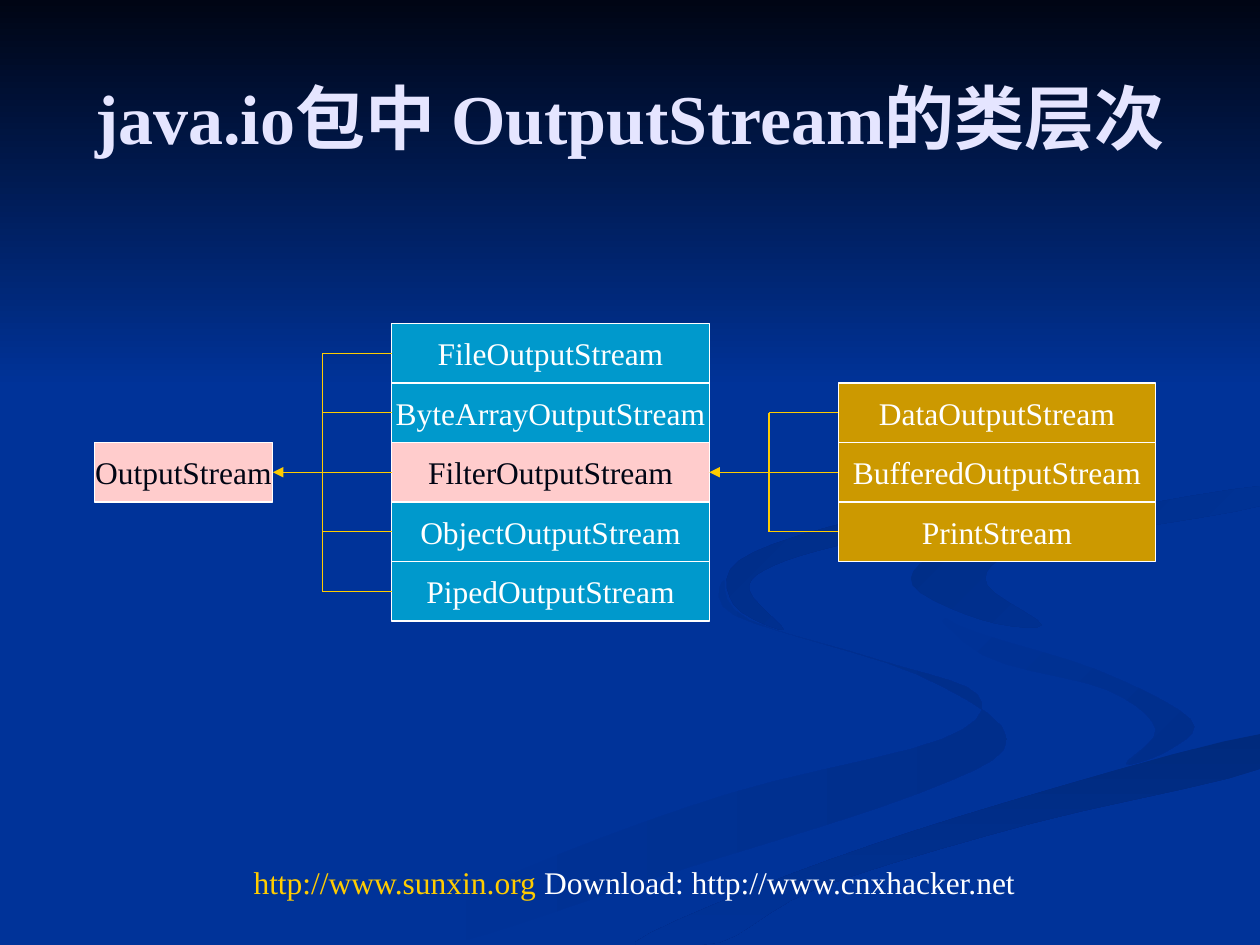
from dataclasses import dataclass

from lxml.etree import SubElement
from pptx import Presentation
from pptx.dml.color import RGBColor
from pptx.enum.shapes import MSO_CONNECTOR as Connector, MSO_SHAPE as Shape
from pptx.enum.text import MSO_ANCHOR as Anchor, MSO_AUTO_SIZE as AutoSize, PP_ALIGN as Align
from pptx.oxml.ns import qn
from pptx.util import Cm, Pt

COLORS = {
    "background": "003399", "night": "000514", "title": "E5E5FF",
    "white": "FFFFFF", "gold": "FFCC00",
    "pink": "FFCCCC", "blue": "0099CC", "ochre": "CC9900",
    "swirl": "002E8B", "road": "002A7D", "bend": "002D86", "loop": "002B82",
}
FONT = "Times New Roman"
SLIDE_WIDTH, SLIDE_HEIGHT = 25.4, 19.05
ROW_HEIGHT = 1.2
FIRST_ROW_TOP = 6.52
CLASS_WIDTH = 6.4
CURVE_STEPS = 5


@dataclass
class Ribbon:
    """Closed curve through points given in cm, with a gradient fill."""
    points: list[tuple[float, float]]
    start: str
    end: str
    angle: int = 0


@dataclass
class ClassBox:
    label: str
    left: float
    row: int
    fill: str
    width: float = CLASS_WIDTH
    text: str = "white"


@dataclass
class Branch:
    """Tree lines from a parent's right edge to the rows of its subclasses."""
    parent_right: float
    trunk: float
    child_left: float
    rows: range
    parent_row: int = 2


RIBBONS = [
    Ribbon([(14.6, 11.7), (15.1, 12.5), (18.5, 13.6), (20.3, 14.9), (18.5, 16), (13.2, 17.7),
            (9.2, 19), (7.6, 19), (10.6, 17.5), (14.7, 16), (19, 14.9), (19.7, 14),
            (17.7, 13.3), (14.8, 12.4)], "background", "swirl"),
    Ribbon([(18.4, 11.8), (19.3, 12.6), (22.1, 13.5), (24, 14.5), (23.6, 15.1), (22.7, 15.4),
            (23.3, 14.7), (22.3, 13.9), (19.8, 13.2)], "background", "swirl", 45),
    Ribbon([(25.4, 14.8), (25.4, 15.5), (20.8, 16.6), (16.5, 17.9), (14.5, 19), (12.8, 19),
            (16, 17.6), (20.2, 16.2)], "road", "background", 90),
    Ribbon([(21.3, 10.5), (25.4, 9.8), (25.4, 10.2), (22, 10.8), (20.3, 11.2), (19.9, 11.8),
            (21, 12.6), (19.8, 12.5), (18.4, 11.8), (19, 11.1)], "bend", "background", 45),
    Ribbon([(17.3, 10.9), (21, 10.1), (22.7, 8.7), (21.4, 7), (19.4, 5.9), (21.5, 7.1),
            (22.6, 8.5), (21, 9.8), (17.2, 10.5), (14.9, 11.3), (14.8, 12.2), (15.8, 12.7),
            (15.1, 11.9), (15.6, 11.4)], "loop", "background", 45),
]
SUBCLASSES = ["FileOutputStream", "ByteArrayOutputStream", "FilterOutputStream",
              "ObjectOutputStream", "PipedOutputStream"]
FILTERS = ["DataOutputStream", "BufferedOutputStream", "PrintStream"]
PARENTS = {"OutputStream", "FilterOutputStream"}
BRANCHES = [Branch(5.5, 6.5, 7.9, range(0, 5)), Branch(14.3, 15.5, 16.9, range(1, 4))]


def rgb(name: str) -> RGBColor:
    return RGBColor.from_string(COLORS[name])


def style_font(font, size: float, color: str, bold: bool = False) -> None:
    font.name, font.size, font.bold = FONT, Pt(size), bold
    font.color.rgb = rgb(color)


def row_middle(row: int) -> float:
    return FIRST_ROW_TOP + (row + 0.5) * ROW_HEIGHT


def smooth_outline(points: list[tuple[float, float]]) -> list[tuple[float, float]]:
    """Closed Catmull-Rom curve through the points, kept on the slide."""
    outline = []
    for i, here in enumerate(points):
        before, after, later = points[i - 1], points[(i + 1) % len(points)], points[(i + 2) % len(points)]
        for step in range(CURVE_STEPS):
            t = step / CURVE_STEPS
            x, y = (b + t / 2 * (c - a + t * (2 * a - 5 * b + 4 * c - d + t * (3 * (b - c) + d - a)))
                    for a, b, c, d in zip(before, here, after, later))
            outline.append((min(x, SLIDE_WIDTH), min(y, SLIDE_HEIGHT)))
    return outline


def fill_gradient(shape, start: str, end: str, angle: int) -> None:
    shape.shadow.inherit = False
    shape.line.fill.background()
    shape.fill.gradient()
    shape.fill.gradient_angle = -angle % 360
    for stop, color in zip(shape.fill.gradient_stops, (start, end)):
        stop.color.rgb = rgb(color)


def draw_ribbon(shapes, ribbon: Ribbon) -> None:
    start, *rest = [(Cm(x), Cm(y)) for x, y in smooth_outline(ribbon.points)]
    builder = shapes.build_freeform(*start)
    builder.add_line_segments(rest)
    fill_gradient(builder.convert_to_shape(), ribbon.start, ribbon.end, ribbon.angle)


def draw_class(shapes, box: ClassBox) -> None:
    top = FIRST_ROW_TOP + box.row * ROW_HEIGHT
    rect = shapes.add_shape(Shape.RECTANGLE, Cm(box.left), Cm(top), Cm(box.width), Cm(ROW_HEIGHT))
    rect.shadow.inherit = False
    rect.fill.solid()
    rect.fill.fore_color.rgb = rgb(box.fill)
    rect.line.color.rgb = rgb("white")
    rect.line.width = Pt(0.75)
    frame = rect.text_frame
    frame.text = box.label
    frame.word_wrap = False
    frame.vertical_anchor = Anchor.MIDDLE
    frame.paragraphs[0].alignment = Align.CENTER
    style_font(frame.paragraphs[0].runs[0].font, 18, box.text)


def draw_line(shapes, x1: float, y1: float, x2: float, y2: float, arrow: bool = False) -> None:
    line = shapes.add_connector(Connector.STRAIGHT, Cm(x1), Cm(y1), Cm(x2), Cm(y2))
    line.line.color.rgb = rgb("gold")
    line.line.width = Pt(0.75)
    if arrow:
        SubElement(line.line._get_or_add_ln(), qn("a:headEnd"), type="triangle")
    SubElement(line._element.spPr, qn("a:effectLst"))


def draw_branch(shapes, branch: Branch) -> None:
    middle = row_middle(branch.parent_row)
    draw_line(shapes, branch.parent_right, middle, branch.trunk, middle, arrow=True)
    draw_line(shapes, branch.trunk, row_middle(branch.rows[0]),
              branch.trunk, row_middle(branch.rows[-1]))
    for row in branch.rows:
        draw_line(shapes, branch.trunk, row_middle(row), branch.child_left, row_middle(row))


def write_title(title) -> None:
    title.left, title.top, title.width, title.height = Cm(1.27), Cm(0.76), Cm(22.86), Cm(3.18)
    frame = title.text_frame
    frame.text = "java.io包中 OutputStream的类层次"
    frame.auto_size = AutoSize.NONE
    frame.vertical_anchor = Anchor.MIDDLE
    frame.paragraphs[0].alignment = Align.CENTER
    style_font(frame.paragraphs[0].runs[0].font, 40, "title", bold=True)


def write_footer(shapes) -> None:
    frame = shapes.add_textbox(Cm(4.5), Cm(17.27), Cm(16.58), Cm(1.78)).text_frame
    frame.word_wrap = True
    links = frame.paragraphs[0]
    links.alignment = Align.CENTER
    for text, color in (("http://www.sunxin.org", "gold"),
                        (" Download: http://www.cnxhacker.net", "white")):
        run = links.add_run()
        run.text = text
        style_font(run.font, 18, color)


def main() -> None:
    deck = Presentation()
    deck.slide_width, deck.slide_height = Cm(SLIDE_WIDTH), Cm(SLIDE_HEIGHT)
    slide = deck.slides.add_slide(deck.slide_layouts[5])
    slide.background.fill.solid()
    slide.background.fill.fore_color.rgb = rgb("background")
    shapes = slide.shapes
    title = shapes.title
    for ribbon in RIBBONS:
        draw_ribbon(shapes, ribbon)
    sky = shapes.add_shape(Shape.RECTANGLE, 0, 0, Cm(SLIDE_WIDTH), Cm(7.82))
    fill_gradient(sky, "night", "background", 90)
    shapes._spTree.append(title._element)  # bring the title in front of the backdrop
    write_title(title)

    boxes = [ClassBox("OutputStream", 1.9, 2, "blue", width=3.6)]
    boxes += [ClassBox(label, 7.9, row, "blue") for row, label in enumerate(SUBCLASSES)]
    boxes += [ClassBox(label, 16.9, row, "ochre") for row, label in enumerate(FILTERS, 1)]
    for box in boxes:
        if box.label in PARENTS:
            box.fill, box.text = "pink", "night"
        draw_class(shapes, box)
    for branch in BRANCHES:
        draw_branch(shapes, branch)
    write_footer(shapes)
    deck.save("out.pptx")


if __name__ == "__main__":
    main()
